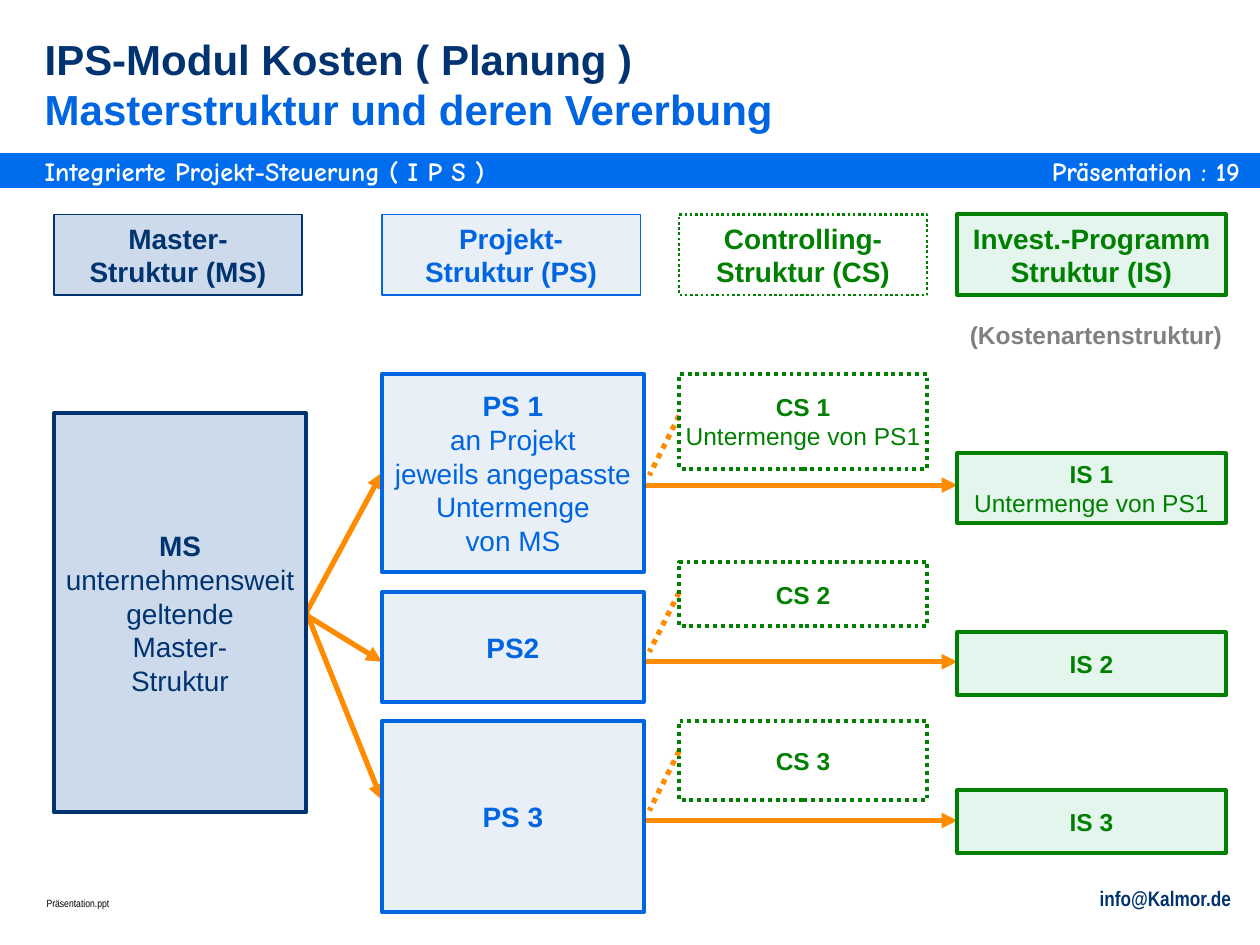
from lxml.etree import SubElement
from pptx import Presentation
from pptx.dml.color import RGBColor
from pptx.enum.dml import MSO_LINE
from pptx.enum.shapes import MSO_CONNECTOR, MSO_SHAPE
from pptx.enum.text import MSO_ANCHOR, MSO_AUTO_SIZE, PP_ALIGN
from pptx.oxml.ns import qn
from pptx.util import Cm, Pt

NAVY = RGBColor(0x00, 0x33, 0x70)
BLUE = RGBColor(0x00, 0x65, 0xE0)
BAR_BLUE = RGBColor(0x00, 0x6C, 0xEE)
GREEN = RGBColor(0x00, 0x80, 0x00)
ORANGE = RGBColor(0xFF, 0x8C, 0x00)
GREY = RGBColor(0x80, 0x80, 0x80)
BLACK = RGBColor(0x00, 0x00, 0x00)
WHITE = RGBColor(0xFF, 0xFF, 0xFF)
PALE_NAVY = RGBColor(0xCC, 0xDA, 0xEC)
PALE_BLUE = RGBColor(0xE9, 0xEF, 0xF7)
PALE_GREEN = RGBColor(0xE3, 0xF5, 0xED)

MASTER = (NAVY, PALE_NAVY, None)
PROJECT = (BLUE, PALE_BLUE, None)
CONTROL = (GREEN, None, MSO_LINE.ROUND_DOT)
INVEST = (GREEN, PALE_GREEN, None)

MS_X, PS_X, CS_X, IS_X = 1.09, 7.7, 13.69, 19.3
MS_W, PS_W, CS_W, IS_W = 5.08, 5.28, 5, 5.41


def add_run(p, text, size, color, bold=False, font="Arial"):
    for i, line in enumerate(text.split("\n")):
        if i:
            p.add_line_break()
        r = p.add_run()
        r.text = line
        r.font.name = font
        r.font.size = Pt(size)
        r.font.bold = bold
        r.font.color.rgb = color


def set_frame(tf, wrap, x_inset=0.25, y_inset=0.13):
    tf.auto_size = MSO_AUTO_SIZE.NONE
    tf.word_wrap = wrap
    tf.vertical_anchor = MSO_ANCHOR.MIDDLE
    tf.margin_left = tf.margin_right = Cm(x_inset)
    tf.margin_top = tf.margin_bottom = Cm(y_inset)


def add_label(s, box, text, size, color, bold=True, font="Arial",
              align=PP_ALIGN.LEFT, inset=0.25):
    tf = s.shapes.add_textbox(*map(Cm, box)).text_frame
    set_frame(tf, True, inset, inset / 2)
    p = tf.paragraphs[0]
    p.alignment = align
    add_run(p, text, size, color, bold, font)


def add_box(s, box, style, size, head, body="", weight=2.25):
    color, fill, dash = style
    sp = s.shapes.add_shape(MSO_SHAPE.RECTANGLE, *map(Cm, box))
    sp.shadow.inherit = False
    if fill is None:
        sp.fill.background()
    else:
        sp.fill.solid()
        sp.fill.fore_color.rgb = fill
    sp.line.color.rgb = color
    sp.line.width = Pt(weight)
    if dash:
        sp.line.dash_style = dash
    tf = sp.text_frame
    set_frame(tf, False)
    for i, text in enumerate(t for t in (head, body) if t):
        p = tf.add_paragraph() if i else tf.paragraphs[0]
        p.alignment = PP_ALIGN.CENTER
        add_run(p, text, size, color, bold=i == 0)


def add_link(s, start, end, dotted=False):
    cx = s.shapes.add_connector(MSO_CONNECTOR.STRAIGHT, *map(Cm, start + end))
    cx.line.color.rgb = ORANGE
    cx.line.width = Pt(3)
    if dotted:
        cx.line.dash_style = MSO_LINE.ROUND_DOT
    else:
        SubElement(cx.line._get_or_add_ln(), qn("a:tailEnd"), type="triangle")
    SubElement(cx._element.spPr, qn("a:effectLst"))


def add_title(s, left, top, width, height):
    sp = s.shapes.title
    sp.left, sp.top, sp.width, sp.height = map(Cm, (left, top, width, height))
    tf = sp.text_frame
    set_frame(tf, True, 0, 0)
    tf.vertical_anchor = MSO_ANCHOR.BOTTOM
    p = tf.paragraphs[0]
    p.alignment = PP_ALIGN.LEFT
    p.line_spacing = Pt(28.5)
    add_run(p, "IPS-Modul Kosten ( Planung )", 24, NAVY, True)
    p.add_line_break()
    add_run(p, "Masterstruktur und deren Vererbung", 24, BLUE, True)


def add_bar(s, left, top, width, height):
    sp = s.shapes.add_shape(MSO_SHAPE.RECTANGLE, *map(Cm, (left, top, width, height)))
    sp.shadow.inherit = False
    sp.fill.solid()
    sp.fill.fore_color.rgb = BAR_BLUE
    sp.line.color.rgb = BAR_BLUE
    sp.line.width = Pt(2)
    half = width / 2
    add_label(s, (left + 0.9, top, half, height), "Integrierte Projekt-Steuerung ( I P S )",
              15, WHITE, font="Comic Neue", inset=0)
    add_label(s, (left + half, top, half - 0.4, height), "Präsentation : 19",
              15, WHITE, font="Comic Neue", align=PP_ALIGN.RIGHT, inset=0)


def add_headings(s, top, height):
    for x, w, style, text, weight in (
        (MS_X, 5, MASTER, "Master-\nStruktur (MS)", 0.75),
        (PS_X, 5.21, PROJECT, "Projekt-\nStruktur (PS)", 0.75),
        (CS_X, CS_W, CONTROL, "Controlling-\nStruktur (CS)", 1.5),
        (IS_X, IS_W, INVEST, "Invest.-Programm\nStruktur (IS)", 2.25),
    ):
        add_box(s, (x, top, w, height), style, 16, text, weight=weight)
    add_label(s, (IS_X, top + 2, 5.8, 0.87), "(Kostenartenstruktur)", 14, GREY)


def add_master(s, left, top, width, height):
    right, middle = left + width, top + height / 2
    add_link(s, (right, middle), (PS_X, 9.53))
    add_link(s, (right - 0.07, middle), (PS_X, 13.34))
    add_link(s, (right - 0.07, middle - 0.2), (PS_X, 16.13))
    add_box(s, (left, top, width, height), MASTER, 16, "MS",
            "unternehmensweit\ngeltende\nMaster-\nStruktur")


def add_project(s, ps, cs, inv, link_y, names, bodies=("", "", "")):
    boxes = (
        (PS_X, PS_W, ps, PROJECT, 16),
        (CS_X, CS_W, cs, CONTROL, 14),
        (IS_X, IS_W, inv, INVEST, 14),
    )
    add_link(s, (PS_X + PS_W, link_y), (IS_X, link_y))
    add_link(s, (CS_X, link_y - 1.4), (CS_X - 0.6, link_y - 0.2), dotted=True)
    for (x, w, (top, height), style, size), name, body in zip(boxes, names, bodies):
        add_box(s, (x, top, w, height), style, size, name, body)


def add_footer(s, left, top, width, height):
    add_label(s, (left, top + 0.1, width / 2, height), "Präsentation.ppt",
              6, BLACK, False, "Arial Narrow")
    add_label(s, (left + width / 2, top, width / 2, height), "info@Kalmor.de",
              12, NAVY, font="Arial Narrow", align=PP_ALIGN.RIGHT)


def main():
    prs = Presentation()
    prs.slide_width, prs.slide_height = Cm(25.4), Cm(19.05)
    s = prs.slides.add_slide(prs.slide_layouts[5])
    add_bar(s, 0, 3.12, 25.4, 0.64)
    add_title(s, 0.9, 0.7, 22.4, 2)
    add_headings(s, 4.32, 1.63)
    add_master(s, MS_X, 8.33, MS_W, 8.05)
    add_project(s, (7.54, 3.99), (7.54, 1.91), (9.14, 1.4), 9.78,
                ("PS 1", "CS 1", "IS 1"),
                ("an Projekt\njeweils angepasste\nUntermenge\nvon MS",
                 "Untermenge von PS1", "Untermenge von PS1"))
    add_project(s, (11.94, 2.21), (11.33, 1.3), (12.75, 1.27), 13.34,
                ("PS2", "CS 2", "IS 2"))
    add_project(s, (14.53, 3.86), (14.53, 1.6), (15.93, 1.27), 16.54,
                ("PS 3", "CS 3", "IS 3"))
    add_footer(s, 0.69, 17.73, 24.38, 0.76)
    prs.save("out.pptx")


if __name__ == "__main__":
    main()
